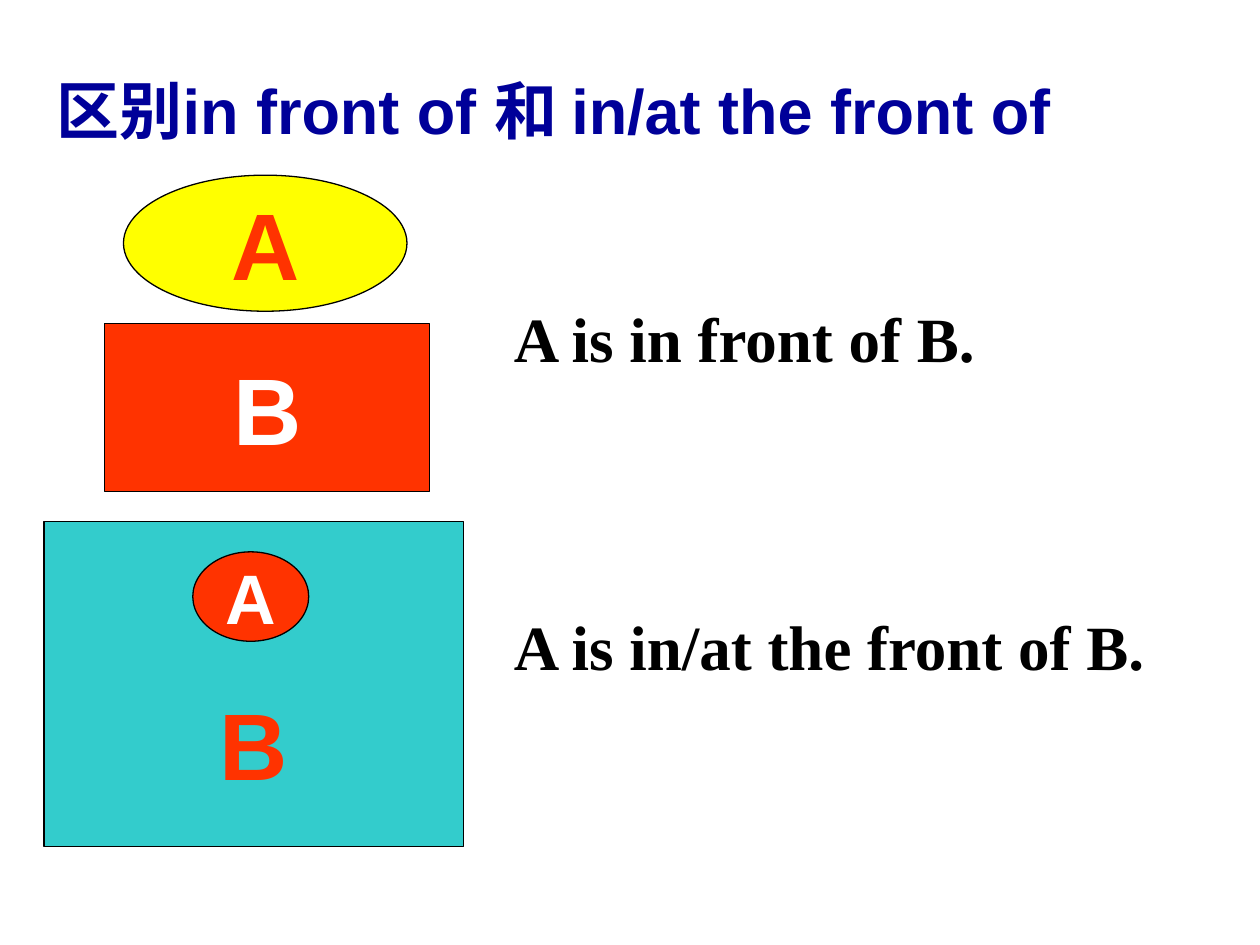
from dataclasses import dataclass
from pptx import Presentation
from pptx.dml.color import RGBColor
from pptx.enum.shapes import MSO_SHAPE as SHAPE
from pptx.enum.text import MSO_ANCHOR as ANCHOR, PP_ALIGN as ALIGN
from pptx.slide import Slide
from pptx.util import Inches, Pt

COLORS = {
    "navy": "000099",
    "red": "FF3300",
    "yellow": "FFFF00",
    "teal": "33CCCC",
    "white": "FFFFFF",
    "black": "000000",
}


def rgb(name):
    return RGBColor.from_string(COLORS[name])


@dataclass
class SlideBuilder:
    s: Slide
    label_font: str = "Arial"
    sentence_font: str = "Times New Roman"
    text_size: int = 36

    def set_text(self, tf, text, font, size, color, align):
        tf.text = text
        p = tf.paragraphs[0]
        p.alignment = align
        r = p.runs[0]
        r.font.name = font
        r.font.size = Pt(size)
        r.font.bold = True
        r.font.color.rgb = rgb(color)

    def title(self, text, x, y, w, h):
        sp = self.s.shapes.title
        sp.left, sp.top, sp.width, sp.height = map(Inches, (x, y, w, h))
        tf = sp.text_frame
        tf.vertical_anchor = ANCHOR.TOP
        self.set_text(tf, text, self.label_font, self.text_size, "navy", ALIGN.LEFT)

    def sentence(self, text, x, y, w, h):
        sp = self.s.shapes.add_textbox(*map(Inches, (x, y, w, h)))
        tf = sp.text_frame
        tf.word_wrap = True
        self.set_text(tf, text, self.sentence_font, self.text_size, "black", ALIGN.LEFT)

    def block(self, kind, text, x, y, w, h, fill, color, size=54, inset_top=0.05):
        sp = self.s.shapes.add_shape(kind, *map(Inches, (x, y, w, h)))
        sp.shadow.inherit = False
        sp.fill.solid()
        sp.fill.fore_color.rgb = rgb(fill)
        sp.line.color.rgb = rgb("black")
        sp.line.width = Pt(0.75)
        tf = sp.text_frame
        tf.word_wrap = False
        tf.vertical_anchor = ANCHOR.MIDDLE
        tf.margin_top = Inches(inset_top)
        self.set_text(tf, text, self.label_font, size, color, ALIGN.CENTER)


def main():
    prs = Presentation()
    prs.slide_width, prs.slide_height = Inches(10), Inches(7.5)
    b = SlideBuilder(prs.slides.add_slide(prs.slide_layouts[5]))

    b.title("区别in front of 和 in/at the front of", 0.35, 0.52, 9.33, 0.7)

    b.block(SHAPE.RECTANGLE, "B", 0.83, 2.57, 2.58, 1.33, "red", "white")
    b.block(SHAPE.OVAL, "A", 0.98, 1.39, 2.25, 1.08, "yellow", "red")
    b.sentence("A is in front of B.", 3.98, 2.33, 4.76, 0.7)

    b.block(SHAPE.RECTANGLE, "B", 0.35, 4.14, 3.33, 2.58, "teal", "red", inset_top=0.98)
    b.block(SHAPE.OVAL, "A", 1.53, 4.38, 0.92, 0.71, "red", "white", size=40)
    b.sentence("A is in/at the front of B.", 3.98, 4.77, 5.39, 0.7)

    prs.save("out.pptx")


if __name__ == "__main__":
    main()
